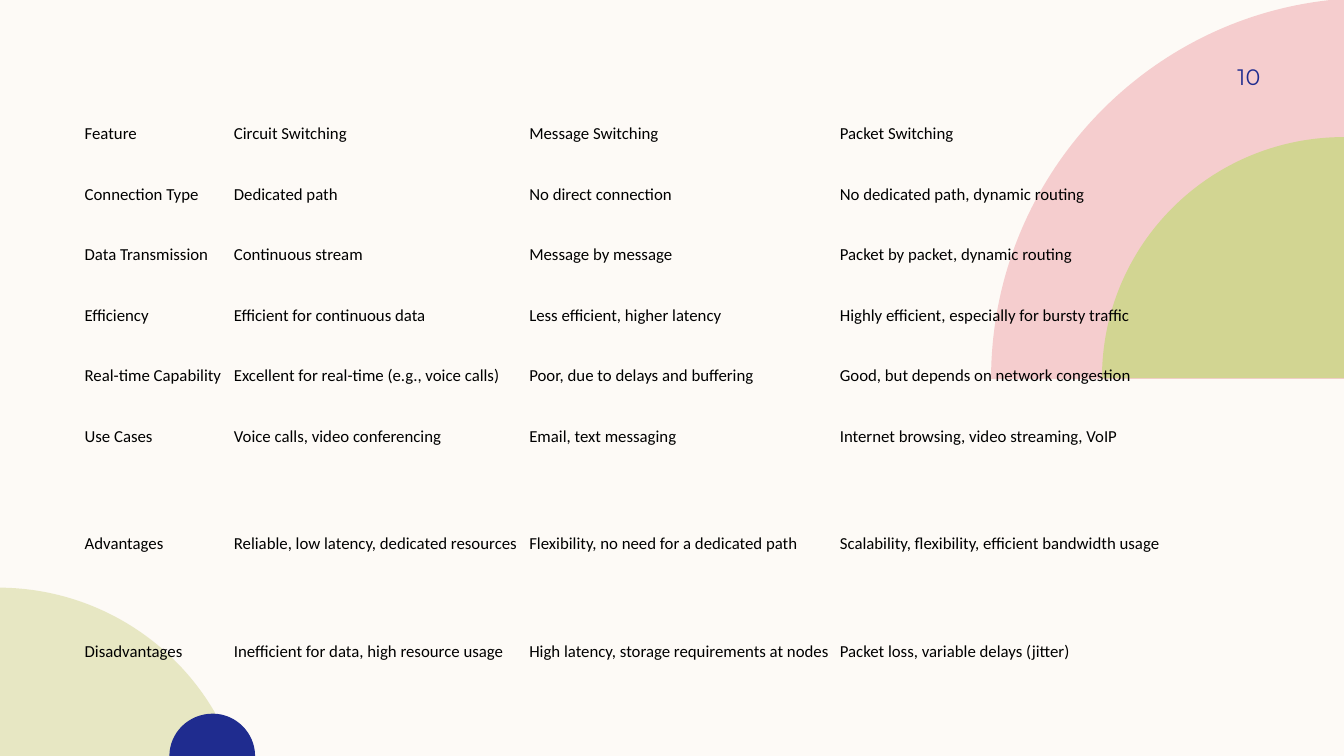
from lxml.etree import SubElement
from pptx import Presentation
from pptx.dml.color import RGBColor
from pptx.enum.text import MSO_ANCHOR, PP_ALIGN
from pptx.oxml.ns import qn
from pptx.util import Inches, Pt

WIDTH, HEIGHT = 13.33, 7.5
CREAM, PINK, OLIVE, NAVY, BLACK = "FDFAF6", "F5CDCE", "D2D592", "1F2C8F", "000000"
PLAIN_TABLE_STYLE = "{2D5ABB26-0587-4C30-8999-92F81FD0307C}"

# Comparison table: column widths, row heights and text
COLUMN_WIDTHS = [1.48, 2.93, 3.08, 4.59]
ROW_HEIGHTS = [0.6] * 6 + [1.07] * 2
COMPARISON = [
    ["Feature", "Circuit Switching", "Message Switching", "Packet Switching"],
    ["Connection Type", "Dedicated path", "No direct connection",
     "No dedicated path, dynamic routing"],
    ["Data Transmission", "Continuous stream", "Message by message",
     "Packet by packet, dynamic routing"],
    ["Efficiency", "Efficient for continuous data", "Less efficient, higher latency",
     "Highly efficient, especially for bursty traffic"],
    ["Real-time Capability", "Excellent for real-time (e.g., voice calls)",
     "Poor, due to delays and buffering", "Good, but depends on network congestion"],
    ["Use Cases", "Voice calls, video conferencing", "Email, text messaging",
     "Internet browsing, video streaming, VoIP"],
    ["Advantages", "Reliable, low latency, dedicated resources",
     "Flexibility, no need for a dedicated path",
     "Scalability, flexibility, efficient bandwidth usage"],
    ["Disadvantages", "Inefficient for data, high resource usage",
     "High latency, storage requirements at nodes", "Packet loss, variable delays (jitter)"],
]

# Corner arcs: colour, opacity, start point, then lines (one point) or curves (three)
CORNER_ARCS = [
    (PINK, 100, (WIDTH, 0), [
        [(WIDTH, 3.76)], [(9.83, 3.76)], [(9.83, 1.81), (11.31, 0.2), (13.2, 0)]]),
    (OLIVE, 100, (10.93, 3.75), [
        [(10.93, 2.43), (12, 1.36), (WIDTH, 1.36)], [(WIDTH, 3.75)]]),
    (OLIVE, 50, (-0.02, 5.83), [
        [(1.01, 5.83), (1.9, 6.46), (2.27, 7.35)], [(2.33, HEIGHT)], [(-0.02, HEIGHT)]]),
    (NAVY, 100, (1.68, HEIGHT), [
        [(1.68, 7.27), (1.87, 7.08), (2.11, 7.08)],
        [(2.34, 7.08), (2.53, 7.27), (2.53, HEIGHT)]]),
]


def set_fill(fill, color):
    fill.solid()
    fill.fore_color.rgb = RGBColor.from_string(color)


def add_text(frame, text, font, size, color, align=PP_ALIGN.LEFT):
    para = frame.paragraphs[0]
    para.alignment = align
    span = para.add_run()
    span.text = text
    span.font.name = font
    span.font.size = Pt(size)
    span.font.color.rgb = RGBColor.from_string(color)


def bend_lines(shape, segments):
    """Join the three lines of each curved segment into one cubic curve."""
    lines = iter(list(shape.element.iter(qn("a:lnTo"))))
    for segment in segments:
        first, *others = [next(lines) for _ in segment]
        if others:
            first.tag = qn("a:cubicBezTo")
        for line in others:
            first.append(line[0])
            line.getparent().remove(line)


def add_arc(slide, color, opacity, start, segments):
    points = [(Inches(x), Inches(y)) for segment in segments for x, y in segment]
    builder = slide.shapes.build_freeform(Inches(start[0]), Inches(start[1]))
    builder.add_line_segments(points, close=True)
    shape = builder.convert_to_shape()
    bend_lines(shape, segments)
    shape.shadow.inherit = False
    shape.line.fill.background()
    set_fill(shape.fill, color)
    if opacity < 100:
        color_node = next(shape.element.iter(qn("a:srgbClr")))
        SubElement(color_node, qn("a:alpha")).set("val", str(opacity * 1000))


def add_page_number(slide, number):
    box = slide.shapes.add_textbox(Inches(11.42), Inches(0.5), Inches(1.08), Inches(0.52))
    frame = box.text_frame
    frame.word_wrap = True
    frame.vertical_anchor = MSO_ANCHOR.MIDDLE
    frame.margin_right = 0
    add_text(frame, number, "Montserrat", 16, NAVY, PP_ALIGN.RIGHT)


def add_comparison(slide):
    holder = slide.shapes.add_table(
        len(ROW_HEIGHTS), len(COLUMN_WIDTHS), Inches(0.83), Inches(0.88),
        Inches(sum(COLUMN_WIDTHS)), Inches(sum(ROW_HEIGHTS)))
    next(holder.element.iter(qn("a:tableStyleId"))).text = PLAIN_TABLE_STYLE
    table = holder.table
    table.first_row = table.horz_banding = False
    for column, width in zip(table.columns, COLUMN_WIDTHS):
        column.width = Inches(width)
    for row, height, texts in zip(table.rows, ROW_HEIGHTS, COMPARISON):
        row.height = Inches(height)
        for cell, text in zip(row.cells, texts):
            cell.fill.background()
            cell.vertical_anchor = MSO_ANCHOR.BOTTOM
            cell.margin_left = cell.margin_right = cell.margin_top = Inches(0.01)
            cell.margin_bottom = Inches(0.05)
            add_text(cell.text_frame, text, "Calibri", 12, BLACK)


def main():
    deck = Presentation()
    deck.slide_width, deck.slide_height = Inches(WIDTH), Inches(HEIGHT)
    slide = deck.slides.add_slide(deck.slide_layouts[6])
    set_fill(slide.background.fill, CREAM)

    # Decoration behind the content
    for arc in CORNER_ARCS:
        add_arc(slide, *arc)

    # Content
    add_page_number(slide, "10")
    add_comparison(slide)
    deck.save("out.pptx")


if __name__ == "__main__":
    main()
